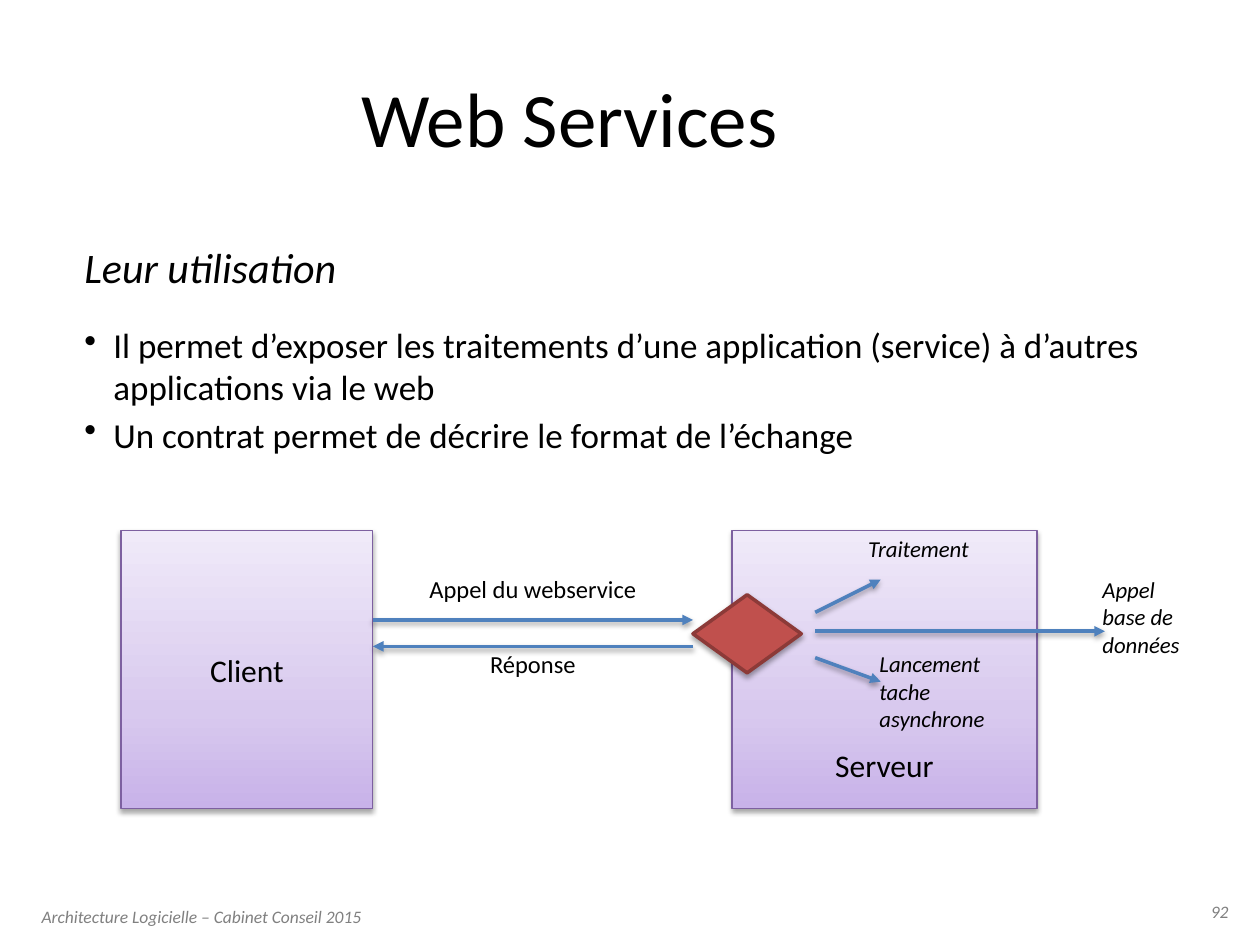
from lxml.etree import SubElement
from copy import deepcopy
from pptx import Presentation
from pptx.dml.color import RGBColor
from pptx.enum.shapes import MSO_CONNECTOR, MSO_SHAPE
from pptx.enum.text import MSO_ANCHOR, PP_ALIGN
from pptx.oxml.ns import qn
from pptx.util import Inches, Pt

FONT = "Calibri"
COLORS = {
    "text": "000000",
    "footer": "808080",
    "box_line": "7D60A0",
    "arrow": "4F81BD",
    "diamond": "C0504D",
    "diamond_line": "8C3A38",
    "shadow": "000000",
}
BOX_GRADIENT = [(0, "C8B2E9"), (0.35, "D8C9EE"), (1, "F0EAF9")]
LEFT, CENTER, RIGHT = PP_ALIGN.LEFT, PP_ALIGN.CENTER, PP_ALIGN.RIGHT


def rgb(name):
    return RGBColor.from_string(COLORS[name])


def style_runs(paragraph, size, italic=False, color="text"):
    for run in paragraph.runs:
        run.font.name = FONT
        run.font.size = Pt(size)
        run.font.italic = italic
        run.font.color.rgb = rgb(color)


def set_frame(text_frame, inset=0, wrap=True, anchor=MSO_ANCHOR.TOP):
    text_frame.margin_left = text_frame.margin_right = Inches(inset)
    text_frame.margin_top = text_frame.margin_bottom = Inches(inset)
    text_frame.word_wrap = wrap
    text_frame.vertical_anchor = anchor


def add_label(slide, box, text, size, align=LEFT, inset=0, wrap=True,
              italic=False, color="text"):
    label = slide.shapes.add_textbox(*map(Inches, box))
    set_frame(label.text_frame, inset, wrap)
    label.text_frame.text = text
    for paragraph in label.text_frame.paragraphs:
        paragraph.alignment = align
        style_runs(paragraph, size, italic, color)


def add_shadow(shape):
    effects = SubElement(shape._element.spPr, qn("a:effectLst"))
    shadow = SubElement(effects, qn("a:outerShdw"), blurRad=str(Pt(3)),
                        dist=str(Pt(1.8)), dir="5400000", rotWithShape="0")
    color = SubElement(shadow, qn("a:srgbClr"), val=COLORS["shadow"])
    SubElement(color, qn("a:alpha"), val="35000")


def add_box(slide, box):
    shape = slide.shapes.add_shape(MSO_SHAPE.RECTANGLE, *map(Inches, box))
    shape.fill.gradient()
    shape.fill.gradient_angle = 90
    stop_list = shape._element.spPr.find(".//" + qn("a:gsLst"))
    stop_list.append(deepcopy(stop_list[0]))
    for stop, (position, color) in zip(shape.fill.gradient_stops, BOX_GRADIENT):
        stop.position = position
        stop.color.rgb = RGBColor.from_string(color)
    shape.line.color.rgb = rgb("box_line")
    shape.line.width = Pt(0.75)
    add_shadow(shape)


def add_diamond(slide, box):
    shape = slide.shapes.add_shape(MSO_SHAPE.DIAMOND, *map(Inches, box))
    shape.fill.solid()
    shape.fill.fore_color.rgb = rgb("diamond")
    shape.line.color.rgb = rgb("diamond_line")
    shape.line.width = Pt(2)
    add_shadow(shape)


def add_arrow(slide, start, end):
    arrow = slide.shapes.add_connector(
        MSO_CONNECTOR.STRAIGHT, *map(Inches, start + end))
    arrow.line.color.rgb = rgb("arrow")
    arrow.line.width = Pt(2)
    SubElement(arrow.line._get_or_add_ln(), qn("a:tailEnd"), type="triangle")
    add_shadow(arrow)


def add_title(slide, text):
    title = slide.shapes.title
    title.left, title.top = Inches(0.5), Inches(0.3)
    title.width, title.height = Inches(8.04), Inches(1.25)
    set_frame(title.text_frame, anchor=MSO_ANCHOR.MIDDLE)
    title.text_frame.text = text
    title.text_frame.paragraphs[0].alignment = CENTER
    style_runs(title.text_frame.paragraphs[0], 44)


def add_body(slide, heading, bullets):
    body = slide.shapes.add_textbox(*map(Inches, (0.67, 1.92, 9, 1.62)))
    text_frame = body.text_frame
    set_frame(text_frame)
    text_frame.text = heading
    text_frame.paragraphs[0].space_before = Pt(5)
    style_runs(text_frame.paragraphs[0], 24, italic=True)
    for index, bullet in enumerate(bullets):
        paragraph = text_frame.add_paragraph()
        paragraph.text = bullet
        paragraph.space_before = Pt(3 if index else 18)
        style_runs(paragraph, 20)
        properties = paragraph._p.get_or_add_pPr()
        properties.set("marL", str(Inches(0.23)))
        properties.set("indent", str(Inches(-0.23)))
        SubElement(properties, qn("a:buChar"), char="•")


def add_diagram(slide):
    # Client and server
    add_box(slide, (0.96, 4.21, 2, 2.21))
    add_label(slide, (0.96, 5.17, 2, 0.3), "Client", 18, CENTER)
    add_box(slide, (5.81, 4.21, 2.42, 2.21))
    add_label(slide, (5.81, 5.92, 2.42, 0.3), "Serveur", 18, CENTER)

    # Call and reply
    add_arrow(slide, (2.96, 4.92), (5.5, 4.92))
    add_diamond(slide, (5.5, 4.72, 0.86, 0.62))
    add_arrow(slide, (5.5, 5.13), (2.96, 5.13))
    add_label(slide, (3.18, 4.51, 2.1, 0.32), "Appel du webservice", 14,
              CENTER, inset=0.05)
    add_label(slide, (3.18, 5.15, 2.1, 0.22), "Réponse", 14, CENTER)

    # Work started by the server
    for start_y, end in [(4.86, (6.99, 4.6)), (5.01, (8.77, 5.01)),
                         (5.22, (6.99, 5.41))]:
        add_arrow(slide, (6.47, start_y), end)
    for box, text in [
        ((6.89, 4.24, 0.92, 0.21), "Traitement"),
        ((6.98, 5.16, 1.01, 0.63), "Lancement\ntache\nasynchrone"),
        ((8.75, 4.57, 0.74, 0.63), "Appel\nbase de\ndonnées"),
    ]:
        add_label(slide, box, text, 13, wrap=False, italic=True)


def add_footer(slide):
    style = {"inset": 0.05, "italic": True, "color": "footer"}
    add_label(slide, (0.28, 7.14, 2.91, 0.28),
              "Architecture Logicielle – Cabinet Conseil 2015", 10, **style)
    add_label(slide, (9.54, 7.1, 0.26, 0.25), "92", 10, RIGHT, wrap=False,
              **style)


def main():
    presentation = Presentation()
    presentation.slide_width = Inches(10)
    presentation.slide_height = Inches(7.5)
    slide = presentation.slides.add_slide(presentation.slide_layouts[5])
    add_footer(slide)
    add_title(slide, "Web Services")
    add_body(slide, "Leur utilisation", [
        "Il permet d’exposer les traitements d’une application (service) "
        "à d’autres applications via le web",
        "Un contrat permet de décrire le format de l’échange",
    ])
    add_diagram(slide)
    presentation.save("out.pptx")


if __name__ == "__main__":
    main()
